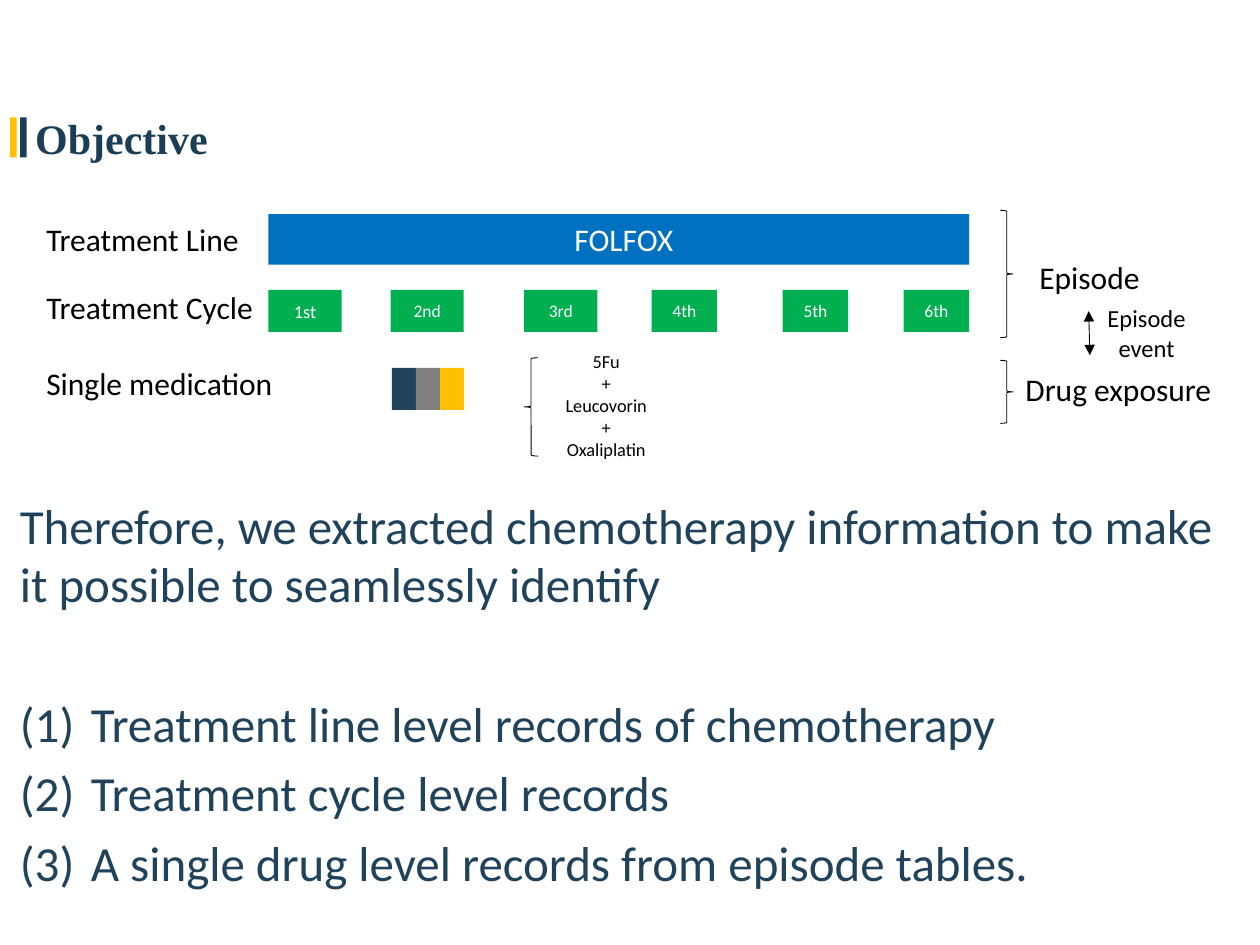
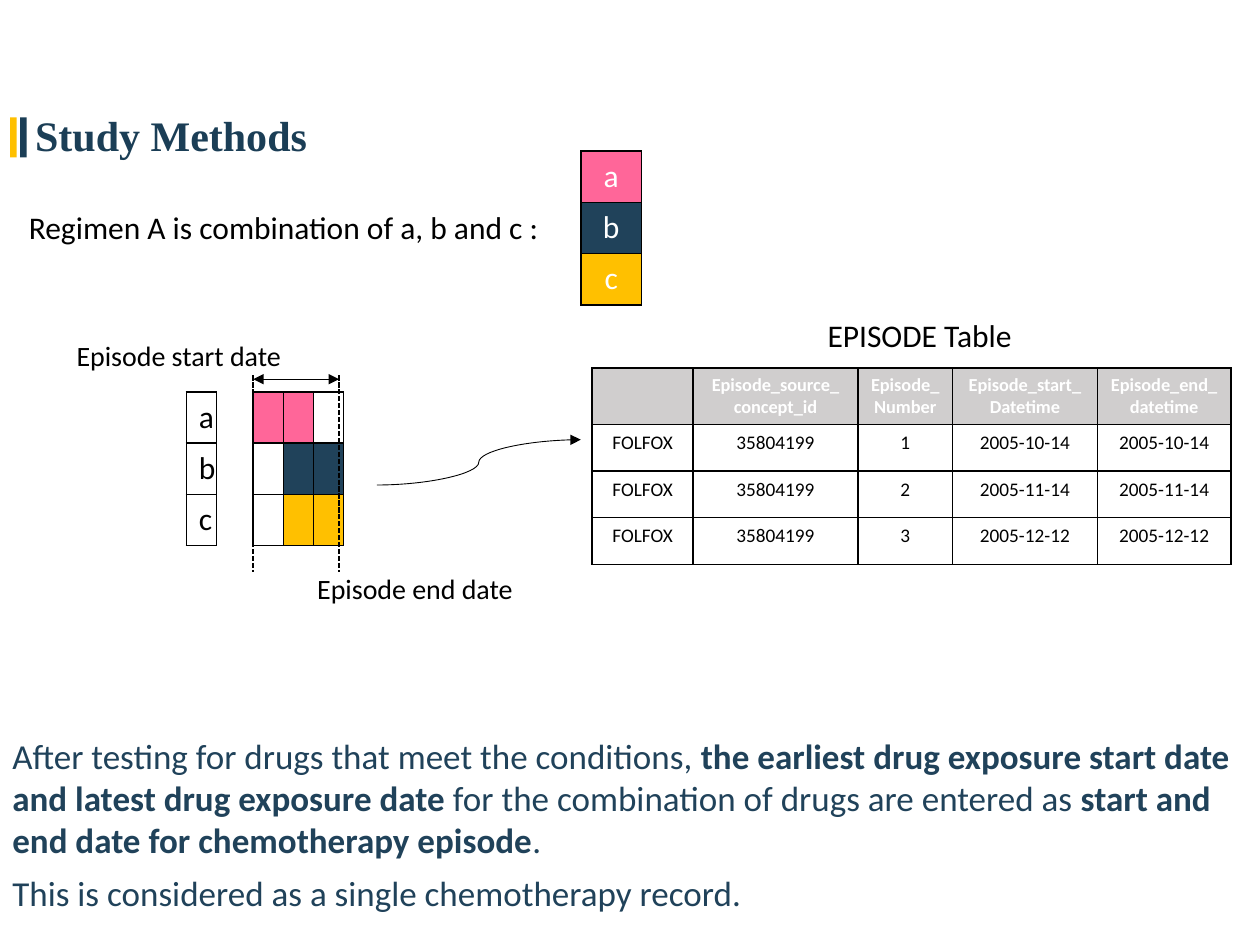
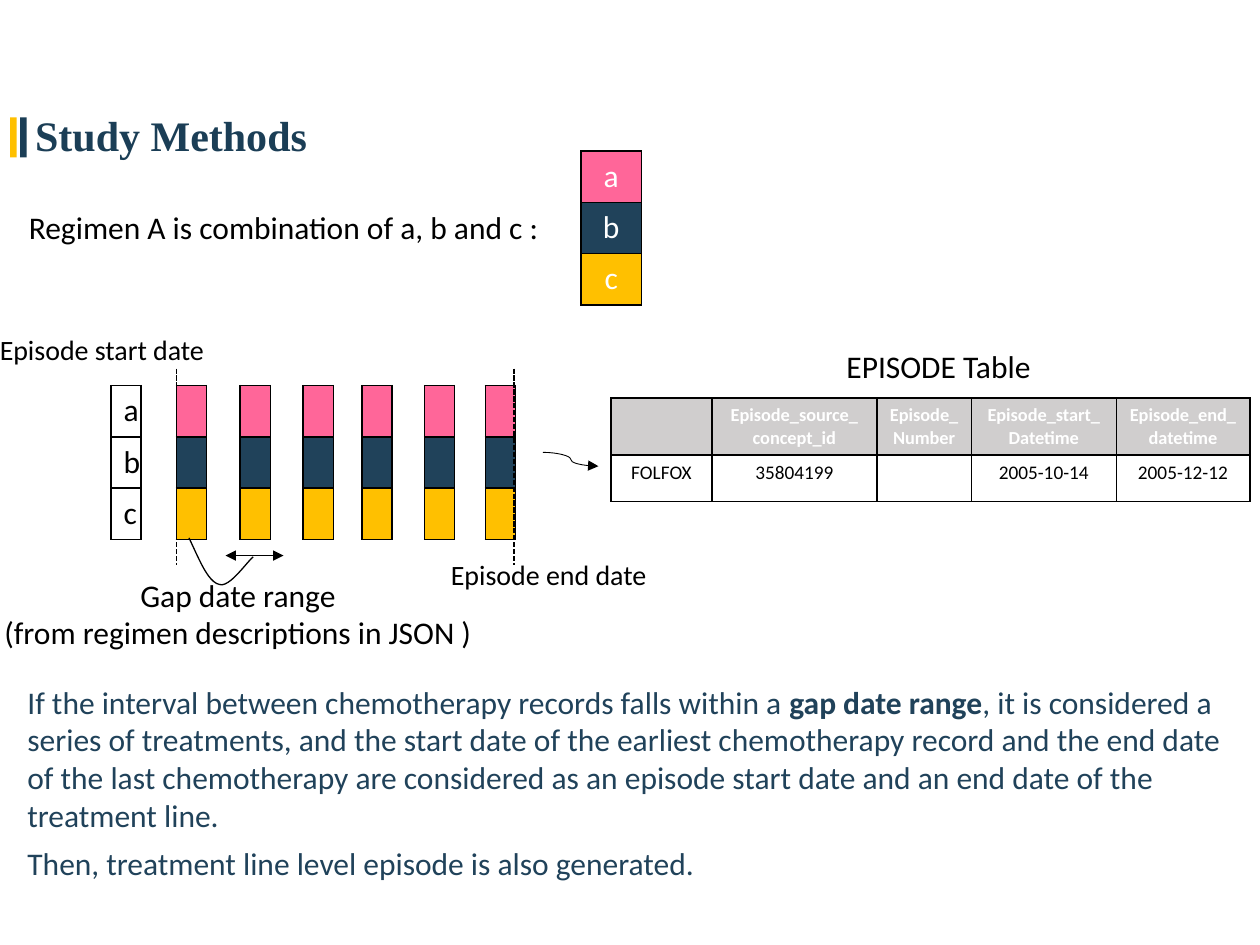
from dataclasses import dataclass

from lxml.etree import SubElement
from pptx import Presentation
from pptx.dml.color import RGBColor
from pptx.enum.dml import MSO_LINE
from pptx.enum.shapes import MSO_CONNECTOR, MSO_SHAPE
from pptx.enum.text import MSO_ANCHOR, MSO_AUTO_SIZE, PP_ALIGN
from pptx.oxml import parse_xml
from pptx.oxml.ns import nsdecls, qn
from pptx.util import Pt


@dataclass(frozen=True)
class Theme:
    navy: str = "1B3E56"
    ink: str = "20425A"
    gold: str = "FFC000"
    pink: str = "FF6699"
    blue: str = "0070C0"
    green: str = "00B050"
    grey: str = "808080"
    head: str = "D0CECE"
    black: str = "000000"
    white: str = "FFFFFF"
    title_font: str = "Times New Roman"
    font: str = "Calibri"
    title: float = 24
    label: float = 18
    date: float = 16
    link: float = 14
    cell: float = 11
    small: float = 10.5
    chip: float = 10
    thin: float = 0.5
    rule: float = 1


@dataclass(frozen=True)
class Box:
    x: float
    y: float
    w: float = 0
    h: float = 0

    def at(self, dx, dy, w=0, h=0):
        return Box(self.x + dx, self.y + dy, w, h)

    def pts(self):
        return [Pt(v) for v in (self.x, self.y, self.w, self.h)]


T = Theme()
DRUGS = (("a", T.pink), ("b", T.ink), ("c", T.gold))
ROW = 29.3      # height of one drug row
SLIM = 16.4     # width of one day column


# ---- Shared helpers ----
def put(obj, **values):
    for name, value in values.items():
        setattr(obj, name, value)


def rgb(hex_):
    return RGBColor.from_string(hex_)


def write(tf, paras, size, color=T.black, font=T.font, bold=False,
          align=PP_ALIGN.LEFT, after=0):
    """Each paragraph is a string or a list of (text, bold) runs."""
    for i, runs in enumerate(paras):
        p = tf.paragraphs[0] if i == 0 else tf.add_paragraph()
        put(p, alignment=align, space_after=Pt(after))
        for text, strong in [(runs, bold)] if isinstance(runs, str) else runs:
            r = p.add_run()
            r.text = text
            put(r.font, size=Pt(size), name=font, bold=strong)
            r.font.color.rgb = rgb(color)


def text(s, box, paras, size, **style):
    tf = s.shapes.add_textbox(*box.pts()).text_frame
    put(tf, word_wrap=True, auto_size=MSO_AUTO_SIZE.SHAPE_TO_FIT_TEXT)
    write(tf, paras, size, **style)
    return tf


def block(s, box, fill, label=None, size=T.chip):
    sp = s.shapes.add_shape(MSO_SHAPE.RECTANGLE, *box.pts())
    sp.shadow.inherit = False
    sp.fill.solid()
    sp.fill.fore_color.rgb = rgb(fill)
    sp.line.fill.background()
    if label:
        put(sp.text_frame, vertical_anchor=MSO_ANCHOR.MIDDLE)
        write(sp.text_frame, [label], size, color=T.white, align=PP_ALIGN.CENTER)


def stroke(sp, width):
    sp.line.color.rgb = rgb(T.black)
    sp.line.width = Pt(width)


def brace(s, box, rotation=0):
    sp = s.shapes.add_shape(MSO_SHAPE.LEFT_BRACE, *box.pts())
    sp.shadow.inherit = False
    sp.fill.background()
    stroke(sp, T.thin)
    sp.rotation = rotation


def line(s, box, kind=MSO_CONNECTOR.STRAIGHT, width=T.thin, heads=(), dash=None):
    """Run from the box origin to origin + (w, h)."""
    cn = s.shapes.add_connector(kind, Pt(box.x), Pt(box.y),
                                Pt(box.x + box.w), Pt(box.y + box.h))
    stroke(cn, width)
    if dash:
        cn.line.dash_style = dash
    for end in heads:
        SubElement(cn.line._get_or_add_ln(), qn("a:" + end), type="triangle")
    SubElement(cn._element.spPr, qn("a:effectLst"))


def double_arrow(s, box):
    line(s, box, heads=("headEnd", "tailEnd"))


def curved_arrow(s, box):
    line(s, box, kind=MSO_CONNECTOR.CURVE, heads=("tailEnd",))


def date_line(s, box):
    line(s, box, width=T.rule, dash=MSO_LINE.SQUARE_DOT)


def fill_cell(c, lines=(), fill=None, size=T.label, color=T.black, bold=False):
    if lines:
        write(c.text_frame, lines, size, color=color, bold=bold,
              align=PP_ALIGN.CENTER)
    else:
        end = SubElement(c.text_frame.paragraphs[0]._p, qn("a:endParaRPr"))
        end.set("sz", str(int(size * 100)))
    if fill:
        c.fill.solid()
        c.fill.fore_color.rgb = rgb(fill)
    else:
        c.fill.background()
    # Borders come before the fill in the cell properties
    tc_pr = c._tc.get_or_add_tcPr()
    for i, side in enumerate("LRTB"):
        tc_pr.insert(i, parse_xml(
            f'<a:ln{side} {nsdecls("a")} w="{int(Pt(T.rule))}"><a:solidFill>'
            f'<a:srgbClr val="{T.black}"/></a:solidFill></a:ln{side}>'))


def table(s, x, y, widths, heights, cells):
    """cells holds rows of fill_cell arguments."""
    box = Box(x, y, sum(widths), sum(heights))
    tbl = s.shapes.add_table(len(heights), len(widths), *box.pts()).table
    put(tbl, first_row=False, horz_banding=False)
    for col, w in zip(tbl.columns, widths):
        col.width = Pt(w)
    for row, h, values in zip(tbl.rows, heights, cells):
        row.height = Pt(h)
        for c, kw in zip(row.cells, values):
            fill_cell(c, **kw)


# ---- Regions ----
def title(s, box, name):
    text(s, box, [name], T.title, color=T.navy, font=T.title_font, bold=True)
    for x, color in ((11.5, T.navy), (5.8, T.gold)):
        block(s, Box(x, 67, 3.8, 23), color)


def body(s, box, paras, size, after=6):
    return text(s, box, paras, size, color=T.ink, after=after)


def drug_table(s, x, y, days):
    """One column per day, each naming the drugs given that day."""
    table(s, x, y, [SLIM] * len(days), [ROW] * 3,
          [[dict(fill=color if drug in day else None) for day in days]
           for drug, color in DRUGS])


def drug_names(s, x, y):
    table(s, x, y, [SLIM], [ROW] * 3, [[dict(lines=[d])] for d, _ in DRUGS])


def regimen(s, box):
    table(s, box.x + 322.6, box.y, [34.6], [ROW] * 3,
          [[dict(lines=[d], fill=c, color=T.white)] for d, c in DRUGS])
    text(s, box.at(0, 28.8, 340, 29),
         ["Regimen A is combination of a, b and c :"], T.label)


def episode_table(s, box, records):
    text(s, box.at(127.4, -33, 121, 29), ["EPISODE Table"], T.label)
    heads = [(), ("Episode_source_", "concept_id"), ("Episode_", "Number"),
             ("Episode_start_", "Datetime"), ("Episode_end_", "datetime")]
    rows = [[dict(lines=h, fill=T.head, size=T.small, color=T.white, bold=True)
             for h in heads]]
    for number, start, end in records:
        values = ("FOLFOX", "35804199", number, start, end)
        rows.append([dict(lines=[v] if v else (), size=T.cell) for v in values])
    table(s, box.x, box.y, [57.6, 94.3, 54, 82.8, 76.3],
          [32.5] + [26.6] * len(records), rows)


def treatment_levels(s, box):
    """Timeline of line, cycles and drugs; box is the timeline area."""
    block(s, box.at(0, 0, box.w, 28.8), T.blue)
    text(s, box.at(167.8, 0, 74, 29), ["FOLFOX"], T.label, color=T.white)
    for dy, name in ((0, "Treatment Line"), (38.9, "Treatment Cycle"),
                     (82, "Single medication")):
        text(s, box.at(-134, dy, 153.4, 29), [name], T.label)
    # Cycles
    cycles = (("1st", 0, 41.8), ("2nd", 69.8, 41.8), ("3rd", 146.1, 41.8),
              ("4th", 218.9, 37.5), ("5th", 293.8, 37.5), ("6th", 362.9, 37.5))
    for i, (name, dx, w) in enumerate(cycles):
        block(s, box.at(dx, 43.2, w, 24), T.green, name,
              T.chip if i else T.small)
    # Drugs of one cycle
    for i, color in enumerate((T.ink, T.grey, T.gold)):
        block(s, box.at(70.5 + 13.8 * i, 87.8, 13.8, 24), color)
    brace(s, box.at(146.1, 82, 7.9, 56.2))
    text(s, box.at(126, 74.2, 134, 70.6),
         ["5Fu", "+", "Leucovorin", "+", "Oxaliplatin"], T.small,
         align=PP_ALIGN.CENTER)


def record_levels(s, box):
    """Braces and names of the tables that hold each level."""
    brace(s, box.at(0, 0, 7.2, 72.7), 180)
    brace(s, box.at(0, 85.7, 7.2, 36), 180)
    text(s, box.at(15.1, 23.8, 73, 29), ["Episode"], T.label)
    text(s, box.at(7.2, 87.8, 122.4, 29), ["Drug exposure"], T.label)
    double_arrow(s, box.at(50.4, 57.6, 0.7, 25.2))
    text(s, box.at(43.2, 49.7, 80.6, 41), ["Episode", "event"], T.link,
         align=PP_ALIGN.CENTER)


def exposure_days(s, box):
    """Days of one record; box is the span from start to end date."""
    drug_table(s, box.x, box.y, ["a", "abc", "bc"])
    drug_names(s, box.x - 38.2, box.y)
    for dx in (0, box.w):
        date_line(s, box.at(dx, -9.4, 0, 112.3))
    double_arrow(s, box.at(0, -7.2, box.w))
    text(s, box.at(29.5, 99.4, 158, 27), ["Episode end date"], T.date)
    text(s, box.at(-108, -33.9, 158, 27), ["Episode start date"], T.date)


def bezier(a, b, c, d, steps=12):
    for i in range(1, steps + 1):
        t = i / steps
        u = 1 - t
        yield tuple(u**3 * p + 3 * u * u * t * q + 3 * u * t * t * m + t**3 * n
                    for p, q, m, n in zip(a, b, c, d))


def gap_pointer(s, box):
    low = (17.3, 26.6)
    curve = [*bezier((0, 0), (5.8, 12.2), (10.8, 25.2), low),
             *bezier(low, (23, 28.8), (33.1, 13.7), (36.7, 10.8))]
    fb = s.shapes.build_freeform(Pt(box.x), Pt(box.y))
    fb.add_line_segments([(Pt(box.x + x), Pt(box.y + y)) for x, y in curve],
                         close=False)
    sp = fb.convert_to_shape()
    sp.shadow.inherit = False
    sp.fill.background()
    stroke(sp, 0.75)


def treatment_series(s, box):
    """Six records in a row; box is the span from start to end date."""
    drug_names(s, box.x - 37.4, box.y)
    for dx in (0, 36.4, 72.4, 106, 141.8, 176.6):
        drug_table(s, box.x + dx, box.y, ["abc"])
    for dx in (0, box.w):
        date_line(s, box.at(dx, -9.7, 0, 112.3))
    text(s, box.at(-108, -33.9, 158, 27), ["Episode start date"], T.date)
    text(s, box.at(149.8, 95, 158, 27), ["Episode end date"], T.date)
    # Gap between records
    double_arrow(s, box.at(28.1, 97.2, 33.1))
    text(s, box.at(-113.8, 105.1, 298, 51),
         ["Gap date range", "(from regimen descriptions in JSON )"], T.label,
         align=PP_ALIGN.CENTER)
    gap_pointer(s, box.at(7.2, 87.1))


# ---- Slides ----
def objective(s):
    title(s, Box(13, 60.5, 182, 36), "Objective")
    tf = body(s, Box(4.3, 279.4, 710.6, 234.7), [
        "Therefore, we extracted chemotherapy information to make it possible "
        "to seamlessly identify",
        "Treatment line level records of chemotherapy",
        "Treatment cycle level records",
        "A single drug level records from episode tables."], 28)
    tf.paragraphs[0].space_after = Pt(46)
    for p in tf.paragraphs[1:]:
        p_pr = p._p.get_or_add_pPr()
        put_indent = {"marL": Pt(40.5), "indent": -Pt(40.5)}
        for name, value in put_indent.items():
            p_pr.set(name, str(int(value)))
        SubElement(p_pr, qn("a:buFont"), typeface="+mj-lt")
        SubElement(p_pr, qn("a:buAutoNum"), type="arabicParenBoth")
    treatment_levels(s, Box(153.4, 122.4, 400.4, 117))
    record_levels(s, Box(571.7, 120.2, 130, 122))


def study_methods(s):
    title(s, Box(13, 59, 194, 36), "Study Methods")
    regimen(s, Box(9.4, 86.4, 357, 88))


def single_record(s):
    study_methods(s)
    body(s, Box(0, 416.2, 712.8, 110), [
        [("After testing for drugs that meet the conditions,", False),
         (" the earliest drug exposure start date and latest drug exposure "
          "date", True),
         (" for the combination of drugs are entered as ", False),
         ("start and end date for chemotherapy episode", True), (".", False)],
        "This is considered as a single chemotherapy record."], 20)
    exposure_days(s, Box(144.7, 223.9, 49, 88))
    curved_arrow(s, Box(215.3, 277.2, 116.6, -25.9))
    dates = ("2005-10-14", "2005-11-14", "2005-12-12")
    episode_table(s, Box(338.4, 210.2, 365, 112),
                  [(str(i), d, d) for i, d in enumerate(dates, 1)])


def treatment_line(s):
    study_methods(s)
    body(s, Box(8.6, 386.6, 712.8, 122.4), [
        [("If the interval between chemotherapy records falls within a ", False),
         ("gap date range", True),
         (", it is considered a series of treatments, and the start date of "
          "the earliest chemotherapy record and the end date of the last "
          "chemotherapy are considered as an episode start date and an end "
          "date of the treatment line.", False)],
        "Then, treatment line level episode is also generated."], 18)
    treatment_series(s, Box(100.8, 220.3, 193, 88))
    curved_arrow(s, Box(310.3, 258.5, 31.7, 7.9))
    episode_table(s, Box(349.2, 227.5, 365, 59),
                  [(None, "2005-10-14", "2005-12-12")])


prs = Presentation()
put(prs, slide_width=Pt(720), slide_height=Pt(540))
for build in (objective, single_record, treatment_line):
    build(prs.slides.add_slide(prs.slide_layouts[6]))
prs.save("out.pptx")
